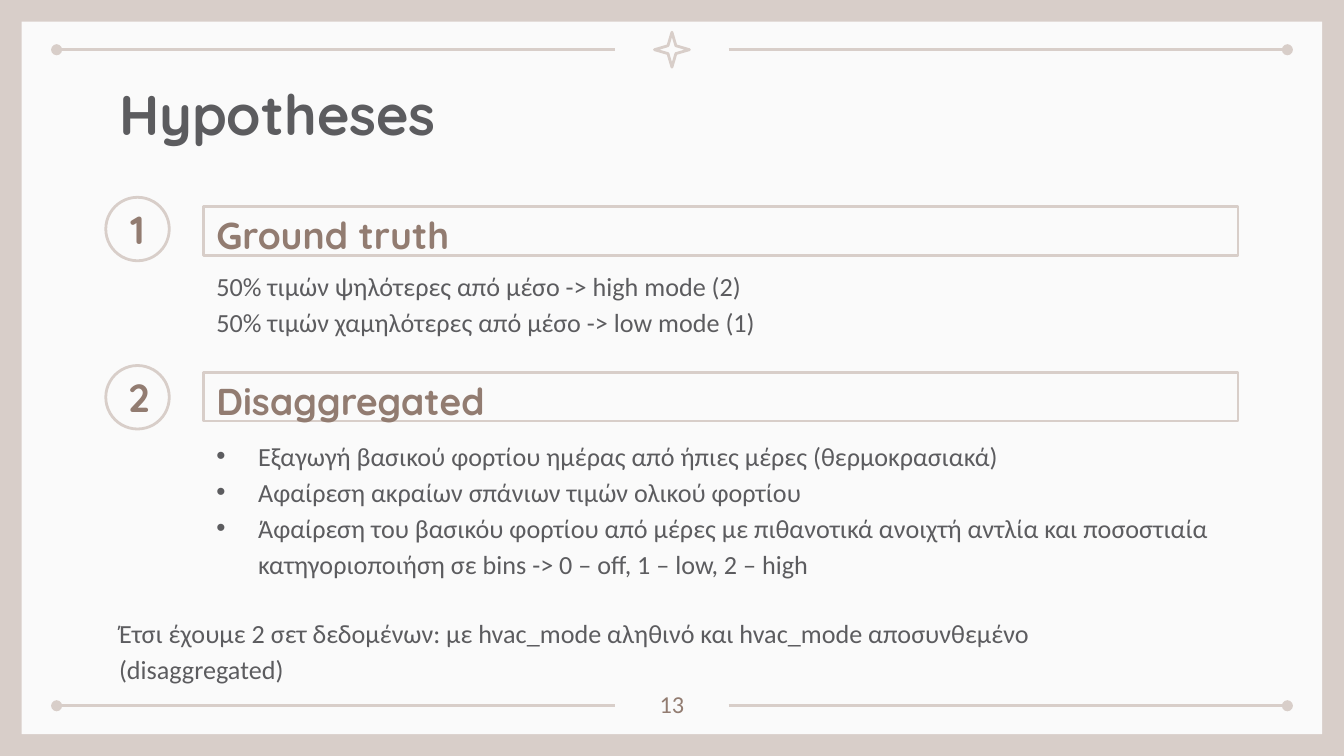
import pptx
import pptx.util
import pptx.dml.color
import pptx.enum.shapes
import pptx.enum.text
import pptx.oxml.ns
from lxml import etree

Cm = pptx.util.Cm
Pt = pptx.util.Pt
RGBColor = pptx.dml.color.RGBColor
MSO_SHAPE = pptx.enum.shapes.MSO_SHAPE
ANCHOR = pptx.enum.text.MSO_ANCHOR
ALIGN = pptx.enum.text.PP_ALIGN
qn = pptx.oxml.ns.qn

FRAME = RGBColor(0xD8, 0xCE, 0xC9)
PAPER = RGBColor(0xFA, 0xFA, 0xFA)
INK = RGBColor(0x5C, 0x5C, 0x5F)
ACCENT = RGBColor(0x92, 0x7C, 0x71)

TITLE = "Hypotheses"
SECTIONS = [
    dict(number="1", heading="Ground truth", bulleted=False,
         circle_top=3.73, heading_top=3.91, body_top=4.78, body_height=1.47,
         lines=["50% τιμών ψηλότερες από μέσο -> high mode (2)",
                "50% τιμών χαμηλότερες από μέσο -> low mode (1)"]),
    dict(number="2", heading="Disaggregated", bulleted=True,
         circle_top=6.91, heading_top=7.04, body_top=7.98, body_height=4.37,
         lines=["Εξαγωγή βασικού φορτίου ημέρας από ήπιες μέρες (θερμοκρασιακά)",
                "Αφαίρεση ακραίων σπάνιων τιμών ολικού φορτίου",
                "Άφαίρεση του βασικόυ φορτίου από μέρες με πιθανοτικά ανοιχτή αντλία "
                "και ποσοστιαία κατηγοριοποιήση σε bins -> 0 – off, 1 – low, 2 – high"]),
]
CONCLUSION = ("Έτσι έχουμε 2 σετ δεδομένων: με hvac_mode αληθινό και hvac_mode "
              "αποσυνθεμένο (disaggregated)")
PAGE_NUMBER = "13"

WIDTH, HEIGHT = 25.4, 14.29
MARGIN = 0.41
RULE_OUTER, RULE_INNER = 1.07, 11.63
RULE_TOP, RULE_BOTTOM = 0.94, 13.34
STAR = 0.66
LEFT, COLUMN, COLUMN_WIDTH = 2.0, 3.84, 19.56
CIRCLE, HEADING_HEIGHT = 1.2, 0.92
NUMBER_WIDTH, NUMBER_HEIGHT = 1.52, 0.92


def write(holder, lines, size, font, color, bold=False, align=ALIGN.LEFT,
          anchor=ANCHOR.TOP, spacing=1.0, bulleted=False):
    frame = holder.text_frame
    frame.word_wrap = True
    frame.auto_size = pptx.enum.text.MSO_AUTO_SIZE.NONE
    frame.vertical_anchor = anchor
    frame.margin_left = frame.margin_right = Cm(0.25)
    frame.margin_top = frame.margin_bottom = Cm(0.25)
    for index, line in enumerate(lines):
        paragraph = frame.add_paragraph() if index else frame.paragraphs[0]
        paragraph.alignment = align
        paragraph.line_spacing = spacing
        paragraph.space_before = paragraph.space_after = Pt(0)
        if bulleted:
            properties = paragraph._p.get_or_add_pPr()
            properties.set("marL", str(Cm(0.79)))
            properties.set("indent", str(-Cm(0.79)))
            bullet_color = etree.SubElement(properties, qn("a:buClr"))
            etree.SubElement(bullet_color, qn("a:srgbClr"), val=str(color))
            etree.SubElement(properties, qn("a:buFont"), typeface="Arial")
            etree.SubElement(properties, qn("a:buChar"), char="•")
        run = paragraph.add_run()
        run.text = line
        run.font.size = Pt(size)
        run.font.name = font
        run.font.bold = bold
        run.font.color.rgb = color


def add_box(slide, left, top, width, height):
    return slide.shapes.add_textbox(Cm(left), Cm(top), Cm(width), Cm(height))


def add_outline(slide, preset, left, top, width, height):
    outline = slide.shapes.add_shape(preset, Cm(left), Cm(top), Cm(width), Cm(height))
    outline.shadow.inherit = False
    outline.fill.background()
    outline.line.color.rgb = FRAME
    outline.line.width = Pt(1.5)
    return outline


def add_rule(slide, start, end, y, dotted_end):
    rule = slide.shapes.add_connector(
        pptx.enum.shapes.MSO_CONNECTOR.STRAIGHT, Cm(start), Cm(y), Cm(end), Cm(y))
    rule.line.color.rgb = FRAME
    rule.line.width = Pt(1.5)
    etree.SubElement(rule.line._get_or_add_ln(), qn(dotted_end), type="oval")
    etree.SubElement(rule._element.spPr, qn("a:effectLst"))


def add_frame(slide):
    slide.background.fill.solid()
    slide.background.fill.fore_color.rgb = FRAME
    paper = add_outline(slide, MSO_SHAPE.RECTANGLE, MARGIN, MARGIN,
                        WIDTH - 2 * MARGIN, HEIGHT - 2 * MARGIN)
    paper.fill.solid()
    paper.fill.fore_color.rgb = PAPER
    paper.line.fill.background()
    for y in (RULE_TOP, RULE_BOTTOM):
        add_rule(slide, RULE_OUTER, RULE_INNER, y, "a:headEnd")
        add_rule(slide, WIDTH - RULE_INNER, WIDTH - RULE_OUTER, y, "a:tailEnd")
    star = add_outline(slide, MSO_SHAPE.STAR_4_POINT, (WIDTH - STAR) / 2,
                       RULE_TOP - STAR / 2, STAR, STAR)
    star.adjustments[0] = 0.16


def add_title(slide):
    title = slide.shapes.title
    title.left, title.top = Cm(LEFT), Cm(1.25)
    title.width, title.height = Cm(21.4), Cm(1.6)
    write(title, [TITLE], 30, "Quicksand", INK, bold=True)
    slide.shapes._spTree.append(title._element)


def add_section(slide, section):
    circle = add_outline(slide, MSO_SHAPE.OVAL, LEFT, section["circle_top"], CIRCLE, CIRCLE)
    write(circle, [section["number"]], 21, "Quicksand", ACCENT, bold=True,
          align=ALIGN.CENTER, anchor=ANCHOR.MIDDLE)
    heading = add_outline(slide, MSO_SHAPE.RECTANGLE, COLUMN, section["heading_top"],
                          COLUMN_WIDTH, HEADING_HEIGHT)
    write(heading, [section["heading"]], 20, "Quicksand", ACCENT, bold=True,
          anchor=ANCHOR.MIDDLE, spacing=1.15)
    body = add_box(slide, COLUMN, section["body_top"], COLUMN_WIDTH, section["body_height"])
    write(body, section["lines"], 14, "Calibri", INK, spacing=1.15,
          bulleted=section["bulleted"])


def main():
    deck = pptx.Presentation()
    deck.slide_width, deck.slide_height = Cm(WIDTH), Cm(HEIGHT)
    slide = deck.slides.add_slide(deck.slide_layouts[5])
    add_frame(slide)
    add_title(slide)
    for section in SECTIONS:
        add_section(slide, section)
    page_number = add_box(slide, (WIDTH - NUMBER_WIDTH) / 2, 12.78,
                          NUMBER_WIDTH, NUMBER_HEIGHT)
    write(page_number, [PAGE_NUMBER], 13, "Calibri", ACCENT, align=ALIGN.CENTER)
    conclusion = add_box(slide, LEFT, 11.33, COLUMN_WIDTH, 1.1)
    write(conclusion, [CONCLUSION], 14, "Calibri", INK, spacing=1.15)
    deck.save("out.pptx")


if __name__ == "__main__":
    main()
